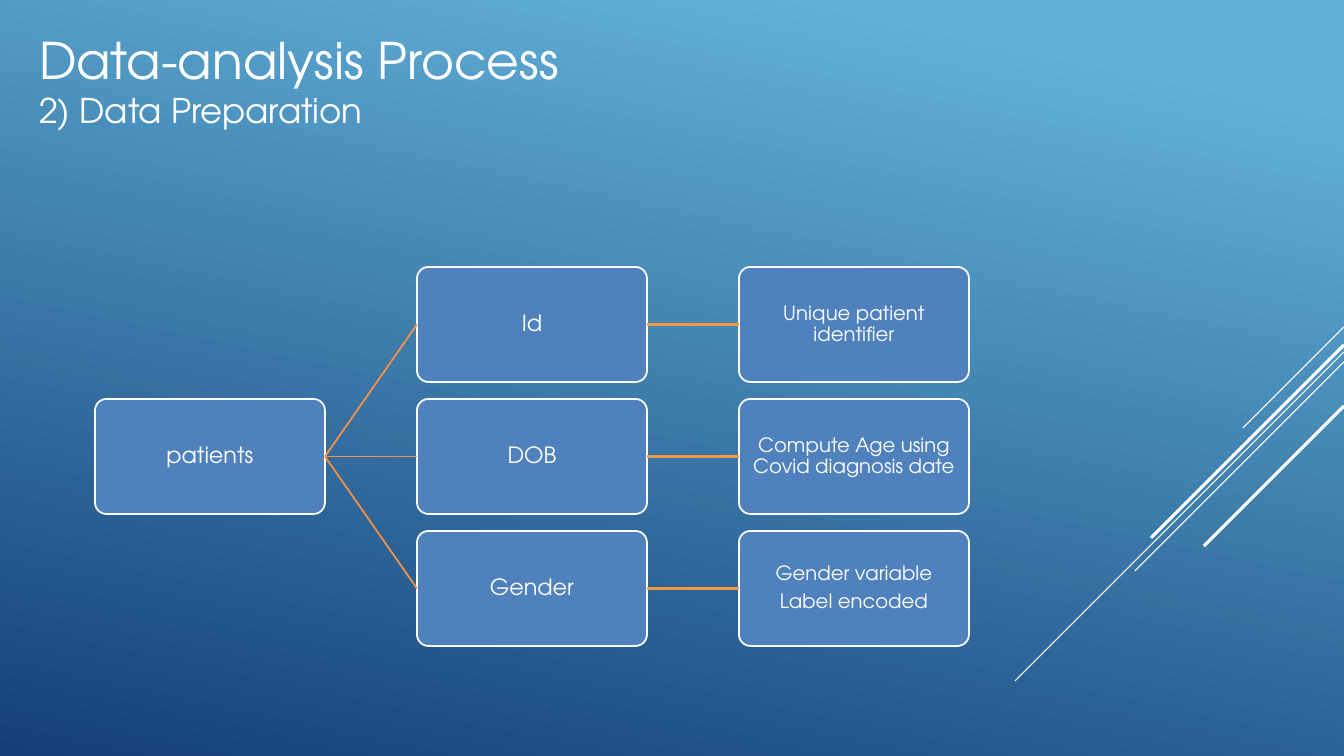
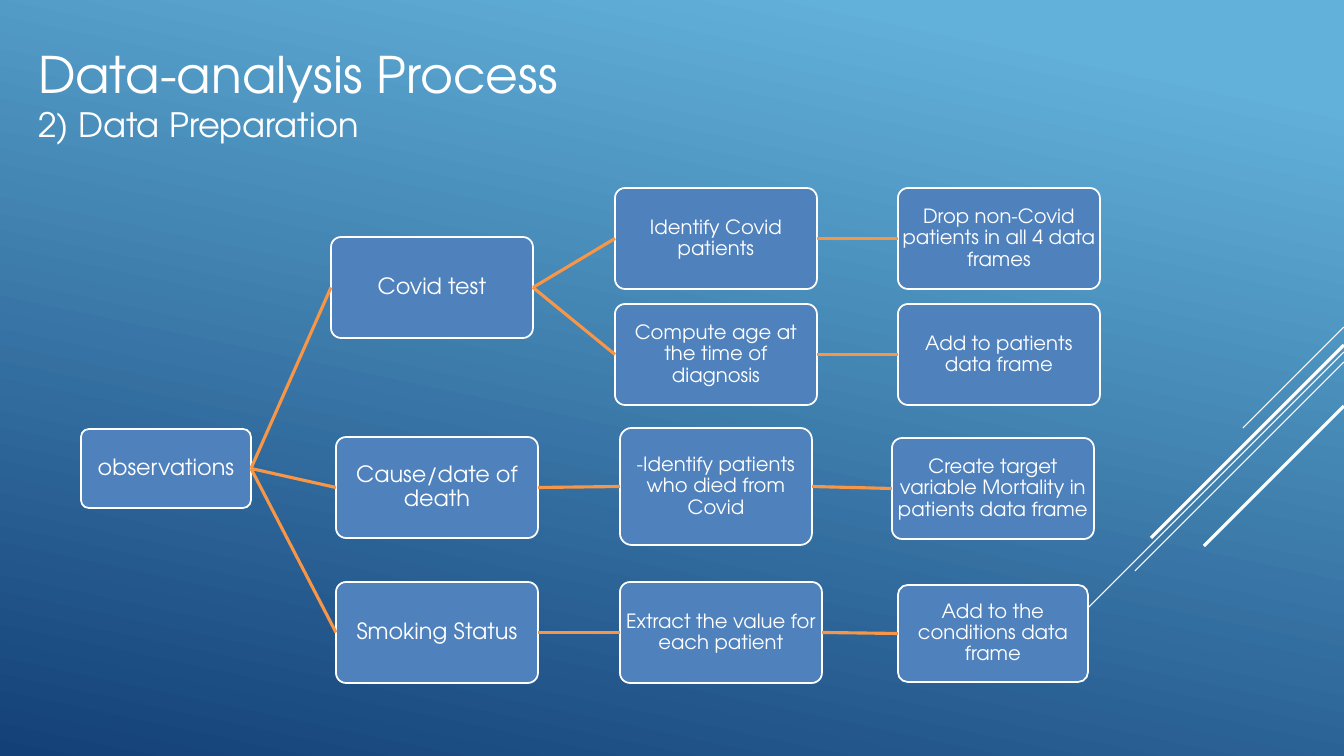
"""Build two data-preparation slides, each a title above a left-to-right tree."""
from lxml import etree
from pptx import Presentation
from pptx.dml.color import RGBColor
from pptx.enum.shapes import MSO_CONNECTOR, MSO_SHAPE
from pptx.enum.text import MSO_ANCHOR, MSO_AUTO_SIZE, PP_ALIGN
from pptx.oxml.ns import qn
from pptx.util import Pt

STRAIGHT = MSO_CONNECTOR.STRAIGHT
ROUNDED = MSO_SHAPE.ROUNDED_RECTANGLE
MIDDLE, CENTER = MSO_ANCHOR.MIDDLE, PP_ALIGN.CENTER
NO_FIT = MSO_AUTO_SIZE.NONE

TITLE = "Data-analysis Process\v2) Data Preparation"
PATIENTS = [  # label, parent, (column, row)
    ("patients", None, (0, 1)),
    ("Id", 0, (1, 0)),
    ("Unique patient identifier", 1, (2, 0)),
    ("DOB", 0, (1, 1)),
    ("Compute Age using Covid diagnosis date", 3, (2, 1)),
    ("Gender", 0, (1, 2)),
    ("Gender variable\nLabel encoded", 5, (2, 2)),
]
OBSERVATIONS = [  # label, parent, (left, top, width, height)
    ("observations", None, (81, 429, 170, 79)),
    ("Covid test", 0, (331, 237, 202, 101)),
    ("Identify Covid patients", 1, (615, 188, 202, 101)),
    ("Drop non-Covid patients in all 4 data frames", 2, (898, 188, 202, 101)),
    ("Compute age at the time of diagnosis", 1, (615, 304, 202, 101)),
    ("Add to patients data frame", 4, (898, 304, 202, 101)),
    ("Cause/date of death", 0, (336, 437, 202, 101)),
    ("-Identify patients who died from Covid", 6, (620, 428, 192, 117)),
    ("Create target variable Mortality in patients data frame", 7,
     (892, 438, 202, 101)),
    ("Smoking Status", 0, (336, 582, 202, 101)),
    ("Extract the value for each patient", 9, (620, 582, 202, 101)),
    ("Add to the conditions data frame", 10, (898, 585, 190, 97)),
]
STREAKS = [  # top at the right edge, length along each axis, points
    (327, 101, 0.75), (352, 329, 0.75), (362, 209, 0.75),
    (345, 193, 2.25), (406, 140, 2.25),
]
COLORS = {"sky": "62B1DA", "navy": "134077", "white": "FFFFFF",
          "box": "4F81BD", "link": "F79646", "root link": "F79146"}
FONT = "TeX Gyre Adventor"
WIDTH, HEIGHT = 1344, 756
GRID_LEFT, GRID_TOP, COLUMN_STEP, ROW_STEP = 95, 267, 322, 132
CELL_SIZE = (230, 115)
RIGHT_SITE, LEFT_SITE = 3, 1


def px(length):
    return round(length * 914400 / 100.8)


def rgb(name):
    return RGBColor.from_string(COLORS[name])


def add_line(page, ends, color, points):
    line = page.shapes.add_connector(STRAIGHT, *map(px, ends))
    line.line.color.rgb = rgb(color)
    line.line.width = Pt(points)
    etree.SubElement(line.element.spPr, qn("a:effectLst"))
    return line


def style_master(master):
    fill = master.background.fill
    fill.gradient()
    fill.gradient_angle = 360 - 102
    for stop, color, position in zip(fill.gradient_stops, ("sky", "navy"), (0.1, 1)):
        stop.color.rgb = rgb(color)
        stop.position = position
    level = master.element.find(".//" + qn("p:titleStyle") + "/" + qn("a:lvl1pPr"))
    level.set("algn", "l")
    font = level.find(qn("a:defRPr"))
    font.set("sz", "3600")
    font.find(qn("a:latin")).set("typeface", FONT)
    solid = font.find(qn("a:solidFill"))
    solid.clear()
    etree.SubElement(solid, qn("a:srgbClr"), val=COLORS["white"])


def add_streaks(page, master):
    for number, (top, length, points) in enumerate(STREAKS, 1):
        ends = (WIDTH, top, WIDTH - length, top + length)
        streak = add_line(page, ends, "white", points)
        streak.name = f"Streak {number}"
        streak.element.nvCxnSpPr.cNvPr.set("id", str(100 + number))
        master.shapes.element.append(streak.element)


def set_title(page, place, subtitle_size, bottom_inset):
    title = page.shapes.title
    title.left, title.top, title.width, title.height = map(px, place)
    frame = title.text_frame
    frame.text = TITLE
    frame.auto_size = NO_FIT
    frame.vertical_anchor = MIDDLE
    frame.margin_bottom = px(bottom_inset)
    frame.paragraphs[0].runs[1].font.size = Pt(subtitle_size)


def add_box(page, label, place, size):
    box = page.shapes.add_shape(ROUNDED, *map(px, place))
    box.shadow.inherit = False
    box.adjustments[0] = 0.1
    box.fill.solid()
    box.fill.fore_color.rgb = rgb("box")
    box.line.color.rgb = rgb("white")
    box.line.width = Pt(1.25)
    frame = box.text_frame
    frame.text = label
    frame.word_wrap = True
    frame.vertical_anchor = MIDDLE
    frame.margin_left = frame.margin_right = px(1)
    frame.margin_top = frame.margin_bottom = px(1)
    for para in frame.paragraphs:
        para.alignment = CENTER
        para.line_spacing = 0.9
        para.space_after = Pt(5)
        for span in para.runs:
            span.font.name = FONT
            span.font.size = Pt(size)
            span.font.color.rgb = rgb("white")
    return box


def add_tree(page, nodes, root_color, root_points):
    boxes = []
    for label, parent, place in nodes:
        is_leaf_size = parent not in (None, 0)
        box = add_box(page, label, place, 14 if is_leaf_size else 16)
        boxes.append(box)
        if parent is None:
            continue
        color, points = ("link", 2.25) if parent else (root_color, root_points)
        link = add_line(page, (0, 0, 0, 0), color, points)
        link.begin_connect(boxes[parent], RIGHT_SITE)
        link.end_connect(box, LEFT_SITE)


def grid_place(column, row):
    return (GRID_LEFT + column * COLUMN_STEP, GRID_TOP + row * ROW_STEP, *CELL_SIZE)


deck = Presentation()
deck.slide_width, deck.slide_height = px(WIDTH), px(HEIGHT)
style_master(deck.slide_master)
title_only = deck.slide_layouts[5]

patients_page = deck.slides.add_slide(title_only)
add_streaks(patients_page, deck.slide_master)
set_title(patients_page, (29, 41, 940, 135), 24.3, 63)
patient_nodes = [(label, parent, grid_place(*cell)) for label, parent, cell in PATIENTS]
add_tree(patients_page, patient_nodes, "root link", 1.25)

observations_page = deck.slides.add_slide(title_only)
set_title(observations_page, (28, 29, 940, 129), 24, 5)
add_tree(observations_page, OBSERVATIONS, "link", 2.25)

deck.save("out.pptx")
